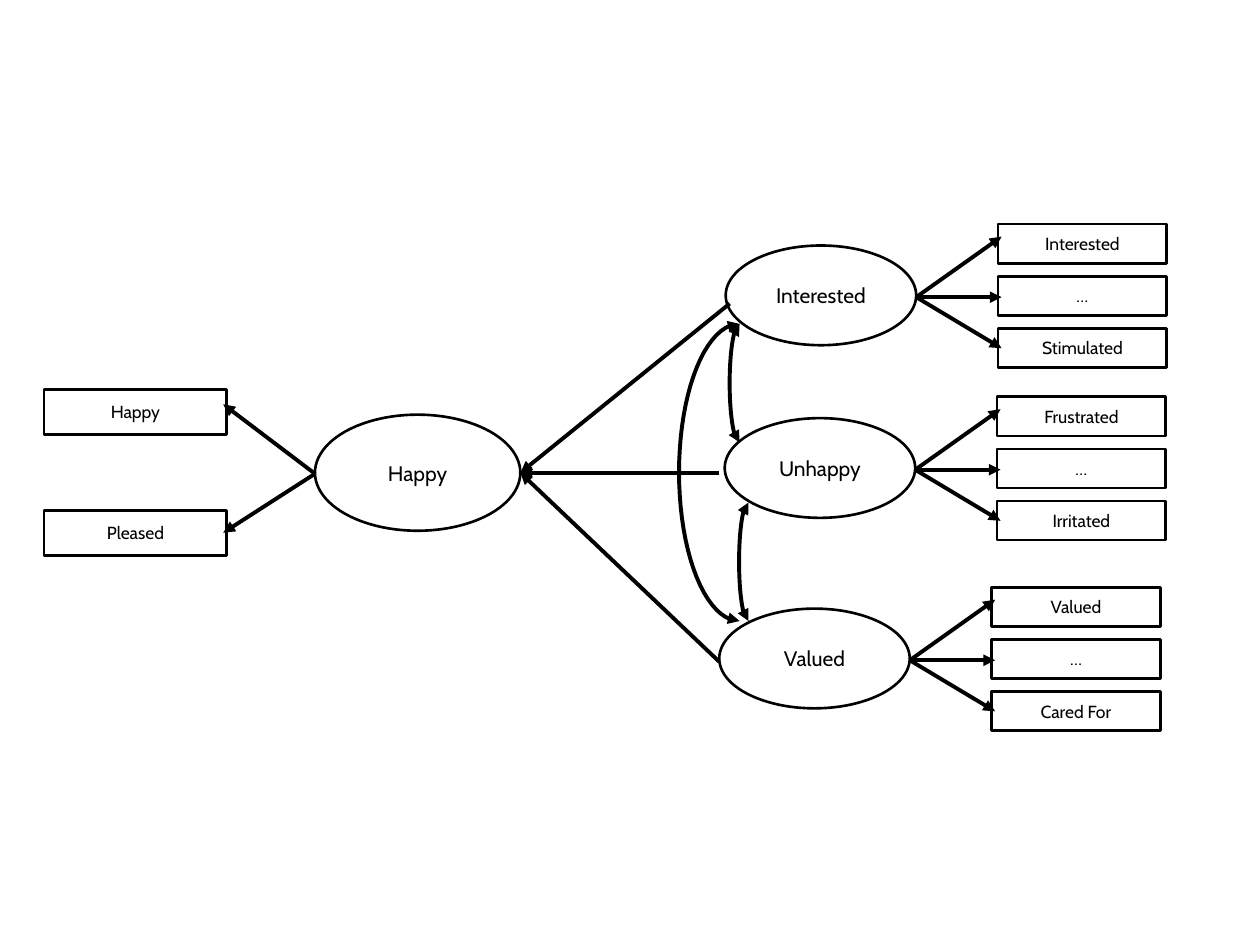
from dataclasses import dataclass
from math import cos, pi, sin

from lxml.etree import SubElement
from pptx import Presentation
from pptx.dml.color import RGBColor
from pptx.enum.shapes import MSO_CONNECTOR, MSO_SHAPE
from pptx.enum.text import MSO_ANCHOR, PP_ALIGN
from pptx.oxml.ns import qn
from pptx.util import Cm, Pt


@dataclass(frozen=True)
class Theme:
    font: str = "Cabin"
    ink: RGBColor = RGBColor(0, 0, 0)
    factor_size: Pt = Pt(12)
    item_size: Pt = Pt(10)
    outline: Pt = Pt(1.5)
    arrow: Pt = Pt(2.25)


THEME = Theme()

PREDICTORS = [
    ("Unhappy", 14.61, 8.43, ["Frustrated", "…", "Irritated"]),
    ("Interested", 14.63, 4.95, ["Interested", "…", "Stimulated"]),
    ("Valued", 14.5, 12.27, ["Valued", "…", "Cared For"]),
]
FACTOR_SIZE = (3.84, 2.01)
ITEM_SIZE = (3.4, 0.79)
ITEM_OFFSET = (5.49, -0.43)
ITEM_STEP = 1.05
ARROW_START = (3.84, 1.04)
ARROW_END_X = 5.56
ARROW_RISES = [-1.22, 0, 1.03]

OUTCOME = ("Happy", 6.35, 8.36, 4.14, 2.34)
OUTCOME_ITEMS = [("Happy", 7.85, 8.15), ("Pleased", 10.29, 10.74)]
OUTCOME_ITEM_BOX = (0.89, 3.68, 0.91)
OUTCOME_ARROW = (6.35, 9.55, 4.5)

PATH_STARTS = [(14.71, 6.12), (14.5, 9.53), (14.5, 13.34)]
PATH_END = (10.49, 9.53)

CORRELATIONS = [
    (14.71, 14.91, 6.53, 8.92),
    (14.9, 15.09, 10.13, 12.52),
    (13.69, 14.91, 6.53, 12.52),
]
CURVE_STEPS = 40


def add_node(shapes, kind, text, left, top, width, height, size):
    node = shapes.add_shape(kind, Cm(left), Cm(top), Cm(width), Cm(height))
    node.shadow.inherit = False
    node.fill.background()
    node.line.color.rgb = THEME.ink
    node.line.width = THEME.outline
    frame = node.text_frame
    frame.vertical_anchor = MSO_ANCHOR.MIDDLE
    paragraph = frame.paragraphs[0]
    paragraph.alignment = PP_ALIGN.CENTER
    span = paragraph.add_run()
    span.text = text
    span.font.name = THEME.font
    span.font.size = size
    span.font.color.rgb = THEME.ink


def style_arrow(shape, ends):
    shape.line.color.rgb = THEME.ink
    shape.line.width = THEME.arrow
    outline = shape.line._get_or_add_ln()
    for end in ends:
        SubElement(outline, qn(f"a:{end}"), type="triangle")


def add_arrow(shapes, start, end):
    arrow = shapes.add_connector(
        MSO_CONNECTOR.STRAIGHT, *(Cm(value) for value in (*start, *end))
    )
    style_arrow(arrow, ["tailEnd"])
    SubElement(arrow._element.spPr, qn("a:effectLst"))


def add_correlation(shapes, left, right, top, bottom):
    middle = (top + bottom) / 2
    angles = [pi * step / CURVE_STEPS for step in range(CURVE_STEPS + 1)]
    points = [
        (
            Cm(right - (right - left) * sin(angle)),
            Cm(middle - (bottom - top) / 2 * cos(angle)),
        )
        for angle in angles
    ]
    builder = shapes.build_freeform(*points[0])
    builder.add_line_segments(points[1:], close=False)
    curve = builder.convert_to_shape()
    curve.shadow.inherit = False
    curve.fill.background()
    style_arrow(curve, ["headEnd", "tailEnd"])


def add_predictor(page, name, left, top, items):
    shapes = page.shapes.add_group_shape().shapes
    add_node(shapes, MSO_SHAPE.OVAL, name, left, top, *FACTOR_SIZE, THEME.factor_size)
    start = (left + ARROW_START[0], top + ARROW_START[1])
    for index, (item, rise) in enumerate(zip(items, ARROW_RISES)):
        item_left = left + ITEM_OFFSET[0]
        item_top = top + ITEM_OFFSET[1] + index * ITEM_STEP
        add_node(shapes, MSO_SHAPE.RECTANGLE, item, item_left, item_top,
                 *ITEM_SIZE, THEME.item_size)
        add_arrow(shapes, start, (left + ARROW_END_X, start[1] + rise))


def add_outcome(page):
    add_node(page.shapes, MSO_SHAPE.OVAL, *OUTCOME, THEME.factor_size)
    left, width, height = OUTCOME_ITEM_BOX
    start_x, start_y, end_x = OUTCOME_ARROW
    for item, top, end_y in OUTCOME_ITEMS:
        add_node(page.shapes, MSO_SHAPE.RECTANGLE, item, left, top,
                 width, height, THEME.item_size)
        add_arrow(page.shapes, (start_x, start_y), (end_x, end_y))


def main():
    deck = Presentation()
    deck.slide_width, deck.slide_height = Cm(25.4), Cm(19.05)
    page = deck.slides.add_slide(deck.slide_layouts[6])
    for predictor in PREDICTORS:
        add_predictor(page, *predictor)
    add_outcome(page)
    for start in PATH_STARTS:
        add_arrow(page.shapes, start, PATH_END)
    for correlation in CORRELATIONS:
        add_correlation(page.shapes, *correlation)
    deck.save("out.pptx")


if __name__ == "__main__":
    main()
